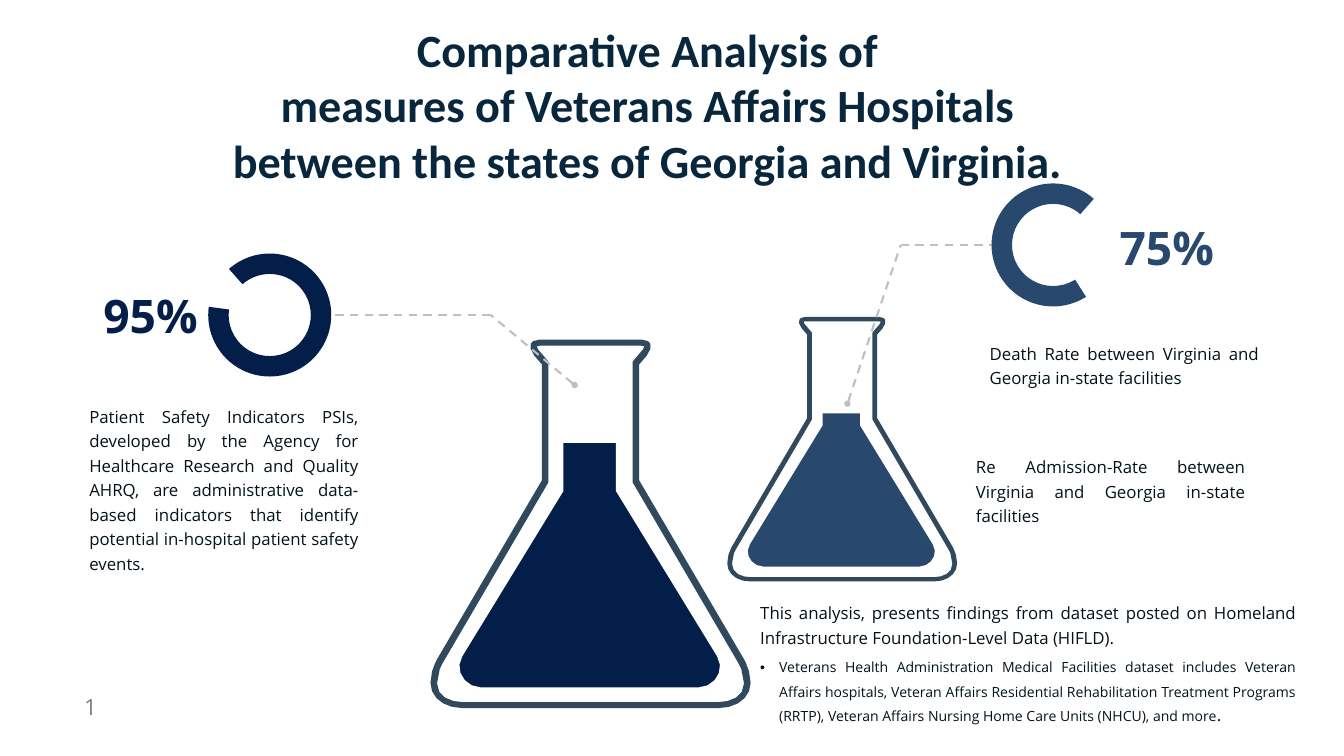
from dataclasses import dataclass
from math import dist
from lxml.etree import SubElement
from pptx import Presentation
from pptx.dml.color import RGBColor as Rgb
from pptx.enum.dml import MSO_LINE as Dash
from pptx.enum.shapes import MSO_CONNECTOR as Connector, MSO_SHAPE as Preset
from pptx.enum.text import MSO_ANCHOR as Anchor, MSO_AUTO_SIZE as Fit, PP_ALIGN as Align
from pptx.oxml.ns import qn
from pptx.util import Pt


@dataclass(frozen=True)
class Theme:
    navy: str = "021E49"
    steel: str = "29486D"
    glass: str = "30495C"
    guide: str = "BFBFBF"
    page: str = "808080"
    title: str = "08273C"
    ink: str = "03121A"
    paper: str = "FFFFFF"
    heading: str = "Calibri"
    text: str = "Open Sans"
    headline: int = 66
    folio: int = 32
    body: int = 24
    detail: int = 20


GLASS_OUTSIDE = [
    [(-55.8, 20.9)], [(-73.8, 20.9)],
    [(-81.7, 20.9), (-84.6, 24.5), (-85.3, 26.6)],
    [(-88.2, 33.1), (-83.2, 41.8), (-69.5, 56.2)],
    [(-69.5, 221.8)], [(-219.2, 477.4)],
    [(-220, 479.5), (-228.6, 492.5), (-228.6, 511.2)],
    [(-228.6, 532.1), (-209.2, 547.2), (-182.5, 547.2)],
]
GLASS_INSIDE = [
    [(-56.5, 29.5)], [(-72.4, 29.5)], [(-76.7, 30.2)],
    [(-76.7, 30.2), (-77.4, 35.3), (-61.6, 50.4)],
    [(-60.1, 52.6)], [(-60.1, 224.6)], [(-211.3, 483.1)],
    [(-211.3, 483.1), (-219.2, 494.6), (-219.2, 511.9)],
    [(-219.2, 530.6), (-200.5, 538.6), (-182.5, 538.6)],
]
LIQUID_WINDOW = [
    [(-37.4, 56.9)], [(-37.4, 236.9)], [(-181.8, 473)],
    [(-194, 492.5), (-179, 517), (-155.2, 517.7)],
]
MASK_EDGE = [[(-239.4, 0)], [(-239.4, 574.6)]]


def bezier(points, t):
    while len(points) > 1:
        points = [tuple(a + (b - a) * t for a, b in zip(p, q))
                  for p, q in zip(points, points[1:])]
    return points[0]


def mirrored(half, stride=14):
    left = list(half[0])
    for segment in half[1:]:
        controls = [left[-1], *segment]
        length = sum(map(dist, controls, segment))
        count = max(2, round(length / stride)) if len(segment) == 3 else 1
        left += [bezier(controls, i / count) for i in range(1, count + 1)]
    return left + [(-x, y) for x, y in reversed(left)]


def apply(target, values):
    for name, value in values.items():
        setattr(target, name, value)


class Board:
    def __init__(self, slide, theme):
        self.slide = slide
        self.shapes = slide.shapes
        self.theme = theme

    def paint(self, shape, color):
        shape.shadow.inherit = False
        shape.fill.solid()
        shape.fill.fore_color.rgb = Rgb.from_string(color)
        shape.line.fill.background()

    def preset(self, kind, box, color, adjustments=()):
        shape = self.shapes.add_shape(kind, *map(Pt, box))
        for index, value in enumerate(adjustments):
            shape.adjustments[index] = value
        self.paint(shape, color)

    def gauge(self, left, top, start, end, color):
        self.preset(Preset.BLOCK_ARC, (left, top, 175.7, 175.7), color,
                    (start * 0.6, end * 0.6, 0.166))

    def outline(self, contours, axis, top, scale, color):
        placed = [[(Pt(axis + x * scale), Pt(top + y * scale)) for x, y in mirrored(half)]
                  for half in contours]
        builder = self.shapes.build_freeform(*placed[0][0])
        for index, points in enumerate(placed):
            if index:
                builder.move_to(*points[0])
            builder.add_line_segments(points[1:], close=True)
        self.paint(builder.convert_to_shape(), color)

    def flask(self, axis, top, scale, liquid, color):
        self.preset(Preset.RECTANGLE, liquid, color)
        self.outline([MASK_EDGE, LIQUID_WINDOW], axis - 0.6, top, scale, self.theme.paper)
        self.outline([GLASS_OUTSIDE, GLASS_INSIDE], axis + 0.6, top, scale, self.theme.glass)

    def guide(self, start, end, **ends):
        line = self.shapes.add_connector(Connector.STRAIGHT, *map(Pt, (*start, *end)))
        line.line.color.rgb = Rgb.from_string(self.theme.guide)
        apply(line.line, {"width": Pt(3), "dash_style": Dash.DASH})
        properties = line.line._get_or_add_ln()
        for tag, kind in ends.items():
            SubElement(properties, qn(f"a:{tag}"), type=kind)
        SubElement(line._element.spPr, qn("a:effectLst"))

    def leader(self, flask_end, bend, gauge_end):
        self.guide(flask_end, bend, headEnd="oval")
        self.guide(bend, gauge_end, tailEnd="diamond")

    def text(self, box, paragraphs, font, frame=None, layout=None):
        area = self.shapes.add_textbox(*map(Pt, box)).text_frame
        apply(area, {"word_wrap": False, "auto_size": Fit.SHAPE_TO_FIT_TEXT, **(frame or {})})
        color = Rgb.from_string(font["color"])
        for index, runs in enumerate(paragraphs):
            paragraph = area.paragraphs[0] if index == 0 else area.add_paragraph()
            apply(paragraph, layout or {})
            for words, size in runs:
                run = paragraph.add_run()
                run.text = words
                apply(run.font, {"name": font["name"], "size": Pt(size),
                                 "bold": font.get("bold", False)})
                run.font.color.rgb = color
        return area

    def percent(self, left, top, value, color, align):
        self.text((left, top, 150.5, 87.1), [[(value, self.theme.headline)]],
                  {"name": self.theme.text, "color": color, "bold": True},
                  {"vertical_anchor": Anchor.MIDDLE}, {"alignment": align})

    def body(self, box, *paragraphs):
        inset = {"margin_left": Pt(17.28), "margin_right": Pt(17.28),
                 "margin_top": Pt(8.64), "margin_bottom": Pt(8.64)}
        return self.text(box, paragraphs, {"name": self.theme.text, "color": self.theme.ink},
                         {"word_wrap": True, **inset},
                         {"alignment": Align.JUSTIFY, "line_spacing": Pt(35)})

    def bullet(self, paragraph):
        properties = paragraph._p.get_or_add_pPr()
        paragraph.space_before = Pt(4.8)
        for name, value in {"marL": Pt(27), "indent": -Pt(27)}.items():
            properties.set(name, str(value))
        SubElement(properties, qn("a:buFont"), typeface="Arial")
        SubElement(properties, qn("a:buChar"), char="•")


def main():
    theme = Theme()
    deck = Presentation()
    apply(deck, {"slide_width": Pt(1919.5), "slide_height": Pt(1080)})
    board = Board(deck.slides.add_slide(deck.slide_layouts[6]), theme)

    board.text((113, 986.4, 61.2, 46.1), [[("1", theme.folio)]],
               {"name": theme.text, "color": theme.page})

    board.flask(842.8, 464.4, 1, (629.3, 632.9, 429.1, 388.8), theme.navy)
    board.leader((820.8, 550.1), (701, 450), (462.2, 450))
    board.gauge(297.4, 362.2, 228.52, 187.69, theme.navy)

    board.flask(1202.2, 437.8, 0.718, (1049, 590.4, 308.2, 251.3), theme.steel)
    board.leader((1210.3, 576.7), (1286.3, 350.3), (1437.8, 350.3))
    board.gauge(1416.2, 262.1, 57.6, 311.48, theme.steel)

    board.percent(1591.9, 308.9, "75%", theme.steel, Align.LEFT)
    board.percent(139, 406.1, "95%", theme.navy, Align.RIGHT)

    board.body((110.2, 565.9, 419, 303.1), [(
        "Patient Safety Indicators PSIs, developed by the Agency for Healthcare Research "
        "and Quality AHRQ, are administrative data-based indicators that identify "
        "potential in-hospital patient safety events.", theme.body)])
    board.body((1396.1, 475.9, 419, 85.7), [(
        "Death Rate between Virginia and Georgia in-state facilities", theme.body)])
    title = ("Comparative Analysis of", "measures of Veterans Affairs Hospitals",
             "between the states of Georgia and Virginia.")
    board.text((319.7, 26.6, 1210.3, 247), [[(line, theme.headline)] for line in title],
               {"name": theme.heading, "color": theme.title, "bold": True},
               layout={"alignment": Align.CENTER})
    board.body((1376.6, 637.9, 419, 85.7), [(
        "Re Admission-Rate between Virginia and Georgia in-state facilities", theme.body)])
    dataset = board.body((1068.5, 846.7, 799.9, 196.6), [(
        "This analysis, presents findings from dataset posted on Homeland Infrastructure "
        "Foundation-Level Data (HIFLD).", theme.body)], [(
            "Veterans Health Administration Medical Facilities dataset includes Veteran "
            "Affairs hospitals, Veteran Affairs Residential Rehabilitation Treatment "
            "Programs (RRTP), Veteran Affairs Nursing Home Care Units (NHCU), and more",
            theme.detail), (".", theme.body)])
    board.bullet(dataset.paragraphs[1])
    deck.save("out.pptx")


if __name__ == "__main__":
    main()
